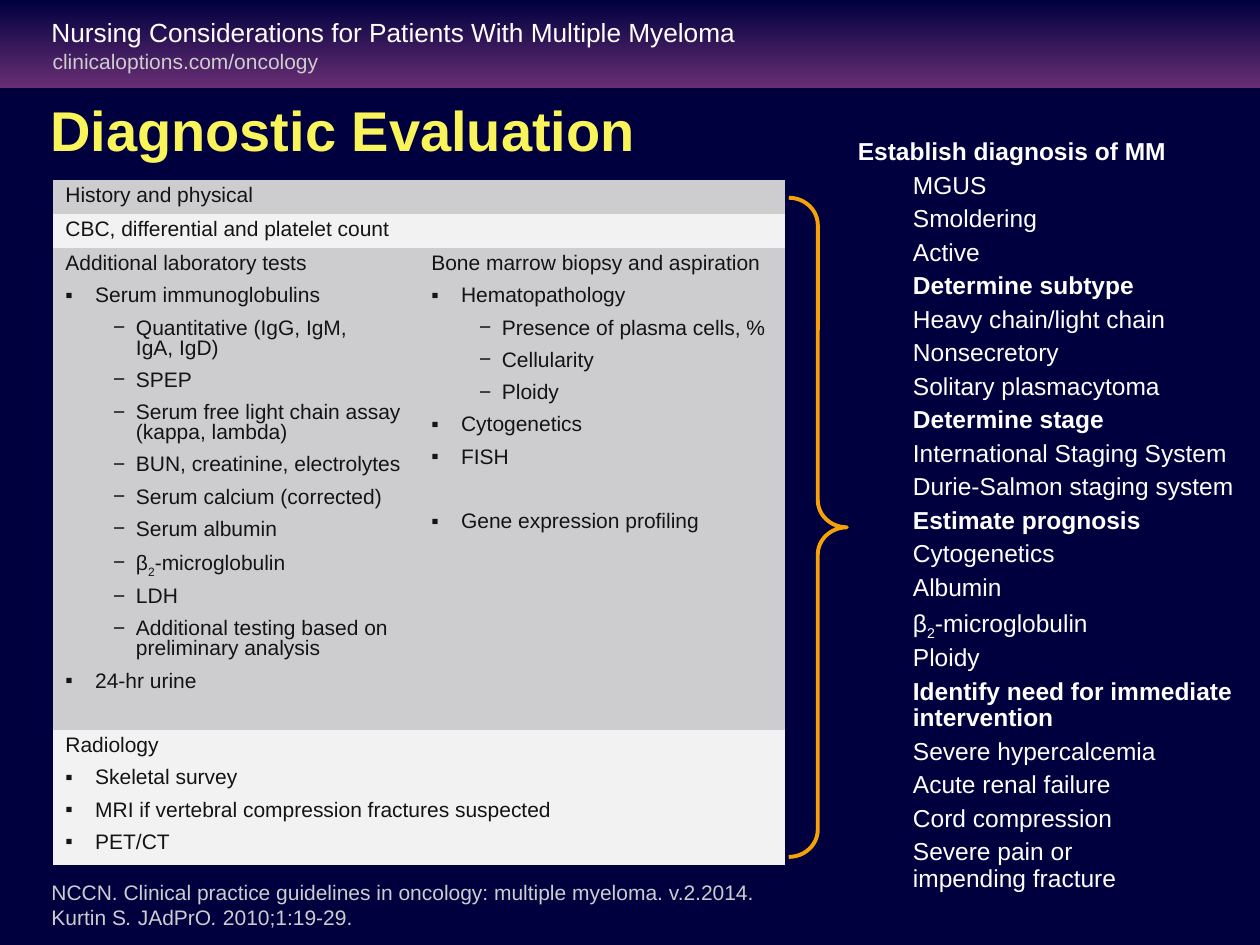
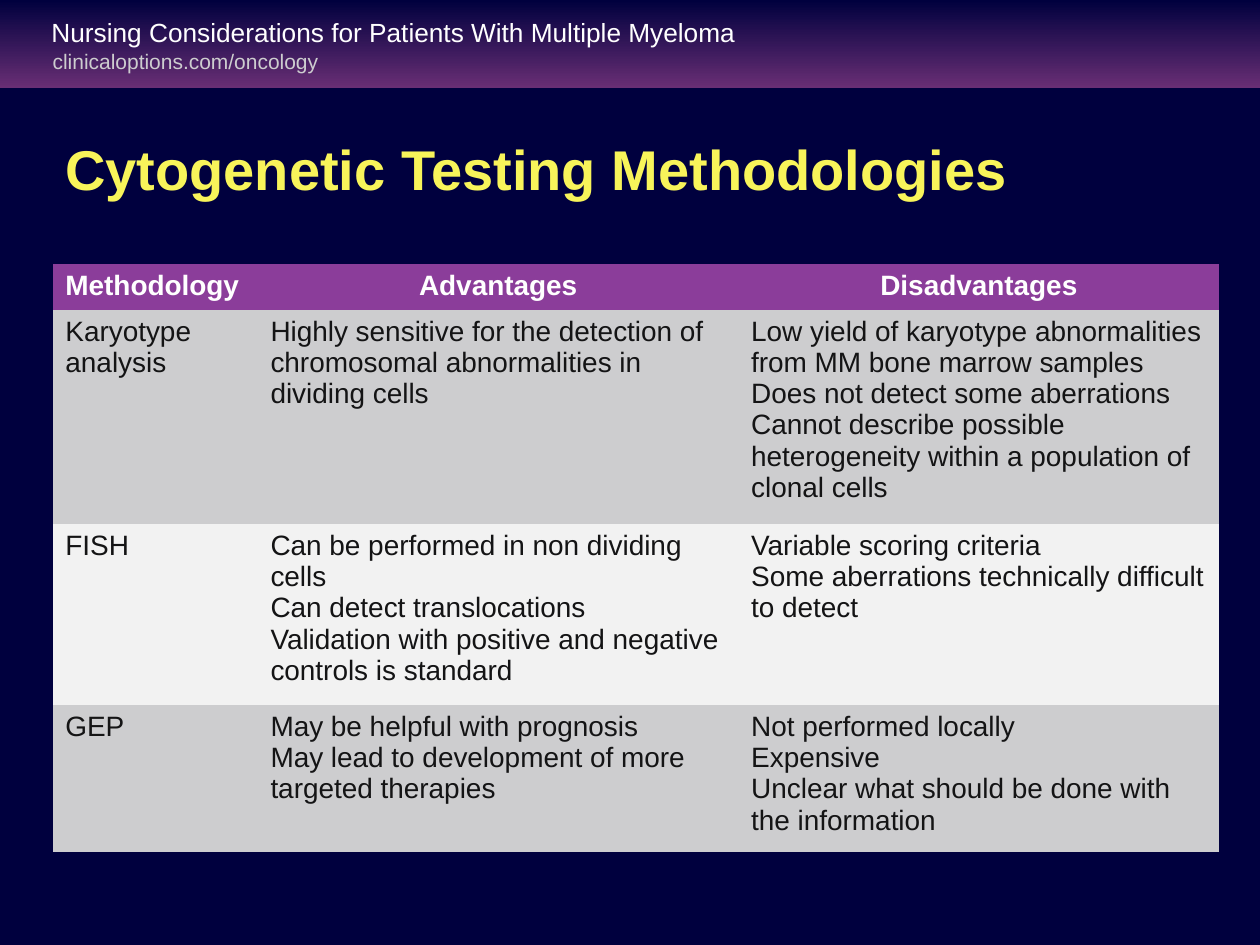
from copy import deepcopy
from dataclasses import dataclass

from lxml import etree
from pptx import Presentation
from pptx import util as u
from pptx.dml import color
from pptx.enum import shapes, text
from pptx.oxml import ns

Pt = u.Pt


@dataclass(frozen=True)
class Box:
    left: float
    top: float
    width: float
    height: float

    def inner(self, left, top, width, height):
        return Box(self.left + left, self.top + top, width, height)

    def lengths(self):
        return [Pt(value) for value in (self.left, self.top, self.width, self.height)]


class Theme:
    font = "Arial"
    night = "00003E"
    plum = "682E74"
    purple = "8B3D9A"
    yellow = "F8F45A"
    orange = "F6A108"
    white = "FFFFFF"
    silver = "CDCDCF"
    pale = "F2F2F2"
    ink = "141415"
    title = {"size": 32, "color": yellow, "bold": True}
    course = {"size": 15, "color": white}
    small = {"size": 12, "color": silver}
    lab = {"size": 12, "color": ink}
    goal = {"size": 14, "color": white}
    goal_head = {**goal, "bold": True}
    method = {"size": 16, "color": ink}
    method_head = {"size": 16, "color": white, "bold": True}


SLIDE = Box(0, 0, 720, 540)
NO_STYLE = "{2D5ABB26-0587-4C30-8999-92F81FD0307C}"
SUBSCRIPT = {"baseline": "-25000"}
ITALIC = {"i": "1"}
BULLETS = {"square": ("▪", 17, 17), "dash": ("−", 40.3, 13)}

TEST_ROWS = [
    (19.4, [[("plain", ["History and physical"])]]),
    (19.4, [[("plain", ["CBC, differential and platelet count"])]]),
    (275.4, [
        [
            ("plain", ["Additional laboratory tests"]),
            ("square", ["Serum immunoglobulins"]),
            ("dash", [
                "Quantitative (IgG, IgM,\nIgA, IgD)",
                "SPEP",
                "Serum free light chain assay (kappa, lambda)",
                "BUN, creatinine, electrolytes",
                "Serum calcium (corrected)",
                "Serum albumin",
                "β_2_-microglobulin",
                "LDH",
                "Additional testing based on preliminary analysis",
            ]),
            ("square", ["24-hr urine"]),
        ],
        [
            ("plain", ["Bone marrow biopsy and aspiration"]),
            ("square", ["Hematopathology"]),
            ("dash", ["Presence of plasma cells, %", "Cellularity", "Ploidy"]),
            ("square", ["Cytogenetics", "FISH", "Gene expression profiling"]),
        ],
    ]),
    (77.1, [[
        ("plain", ["Radiology"]),
        ("square", [
            "Skeletal survey",
            "MRI if vertebral compression fractures suspected",
            "PET/CT",
        ]),
    ]]),
]
EXTRA_GAPS = {"Gene expression profiling": 18.5}

GOALS = {
    "Establish diagnosis of MM": ["MGUS", "Smoldering", "Active"],
    "Determine subtype": [
        "Heavy chain/light chain", "Nonsecretory", "Solitary plasmacytoma"],
    "Determine stage": ["International Staging System", "Durie-Salmon staging system"],
    "Estimate prognosis": ["Cytogenetics", "Albumin", "β_2_-microglobulin", "Ploidy"],
    "Identify need for immediate intervention": [
        "Severe hypercalcemia", "Acute renal failure", "Cord compression",
        "Severe pain or\nimpending fracture"],
}

METHOD_HEADS = ["Methodology", "Advantages", "Disadvantages"]
METHOD_ROWS = [
    (122.3, [
        ["Karyotype analysis"],
        ["Highly sensitive for the detection of chromosomal abnormalities in dividing cells"],
        ["Low yield of karyotype abnormalities from MM bone marrow samples",
         "Does not detect some aberrations",
         "Cannot describe possible heterogeneity within a population of clonal cells"],
    ]),
    (103.4, [
        ["FISH"],
        ["Can be performed in non dividing cells",
         "Can detect translocations",
         "Validation with positive and negative controls is standard"],
        ["Variable scoring criteria",
         "Some aberrations technically difficult to detect"],
    ]),
    (84, [
        ["GEP"],
        ["May be helpful with prognosis",
         "May lead to development of more targeted therapies"],
        ["Not performed locally",
         "Expensive",
         "Unclear what should be done with the information"],
    ]),
]


def rgb(value):
    return color.RGBColor.from_string(value)


def set_values(target, values):
    for name, value in values.items():
        setattr(target, name, value)


def fill_solid(target, value):
    target.fill.solid()
    target.fill.fore_color.rgb = rgb(value)


def write(paragraph, words, style, layout=None, marked=SUBSCRIPT):
    set_values(paragraph, layout or {})
    for index, part in enumerate(words.split("_")):
        for line_index, line in enumerate(part.split("\n")):
            if line_index:
                paragraph.add_line_break()
                paragraph._p[-1].append(deepcopy(run._r.rPr))
            run = paragraph.add_run()
            run.text = line
            set_values(run.font, {
                "name": Theme.font,
                "size": Pt(style["size"]),
                "bold": style.get("bold", False),
            })
            run.font.color.rgb = rgb(style["color"])
            if index % 2:
                for name, value in marked.items():
                    run._r.rPr.set(name, value)


def next_paragraph(frame):
    first = frame.paragraphs[0]
    return frame.add_paragraph() if first.runs else first


def indent(paragraph, left, hanging=0):
    properties = paragraph._p.get_or_add_pPr()
    properties.set("marL", str(int(Pt(left))))
    properties.set("indent", str(-int(Pt(hanging))))
    return properties


def add_bullet(paragraph, kind):
    mark, left, hanging = BULLETS[kind]
    properties = indent(paragraph, left, hanging)
    bullet_color = etree.SubElement(properties, ns.qn("a:buClr"))
    etree.SubElement(bullet_color, ns.qn("a:srgbClr"), val=Theme.ink)
    etree.SubElement(properties, ns.qn("a:buFont"), typeface=Theme.font)
    etree.SubElement(properties, ns.qn("a:buChar"), char=mark)


def add_text_frame(slide, box, anchor=text.MSO_ANCHOR.TOP):
    frame = slide.shapes.add_textbox(*box.lengths()).text_frame
    set_values(frame, {"word_wrap": True, "vertical_anchor": anchor})
    return frame


def add_plain_table(slide, box, widths, heights):
    table = slide.shapes.add_table(len(heights), len(widths), *box.lengths()).table
    table._tbl.tblPr.find(ns.qn("a:tableStyleId")).text = NO_STYLE
    set_values(table, {"first_row": False, "horz_banding": False})
    for column, width in zip(table.columns, widths):
        column.width = Pt(width)
    for row, height in zip(table.rows, heights):
        row.height = Pt(height)
    return table


def band_color(index):
    return (Theme.silver, Theme.pale)[index % 2]


def draw_header(slide, box):
    band = slide.shapes.add_shape(shapes.MSO_SHAPE.RECTANGLE, *box.lengths())
    band.shadow.inherit = False
    band.line.fill.background()
    band.fill.gradient()
    band.fill.gradient_angle = 90
    for stop, value in zip(band.fill.gradient_stops, (Theme.plum, Theme.night)):
        stop.color.rgb = rgb(value)
    address = add_text_frame(slide, box.inner(23, 24.5, 180, 21.6))
    write(address.paragraphs[0], "clinicaloptions.com/oncology", Theme.small)
    course = add_text_frame(slide, box.inner(22.3, 5.8, 564, 25))
    write(course.paragraphs[0],
          "Nursing Considerations for Patients With Multiple Myeloma", Theme.course)


def draw_title(slide, box, words):
    frame = add_text_frame(slide, box, text.MSO_ANCHOR.MIDDLE)
    write(frame.paragraphs[0], words, Theme.title)


def draw_tests(slide, box):
    heights = [height for height, cells in TEST_ROWS]
    table = add_plain_table(slide, box, [box.width / 2] * 2, heights)
    for row, (height, cells) in enumerate(TEST_ROWS):
        if len(cells) == 1:
            table.cell(row, 0).merge(table.cell(row, 1))
        for column, groups in enumerate(cells):
            cell = table.cell(row, column)
            fill_solid(cell, band_color(row))
            for kind, items in groups:
                for item in items:
                    paragraph = next_paragraph(cell.text_frame)
                    if kind in BULLETS:
                        add_bullet(paragraph, kind)
                    gap = 0 if kind == "plain" else 7 + EXTRA_GAPS.get(item, 0)
                    write(paragraph, item, Theme.lab,
                          {"line_spacing": 0.85, "space_before": Pt(gap)})


def draw_brace(slide, box):
    brace = slide.shapes.add_shape(shapes.MSO_SHAPE.RIGHT_BRACE, *box.lengths())
    brace.shadow.inherit = False
    brace.adjustments[0] = 0.47
    brace.fill.background()
    brace.line.color.rgb = rgb(Theme.orange)
    brace.line.width = Pt(2.25)


def draw_goals(slide, box):
    frame = add_text_frame(slide, box)
    for heading, items in GOALS.items():
        for words in [heading, *items]:
            paragraph = next_paragraph(frame)
            first = paragraph._p is frame.paragraphs[0]._p
            if not first:
                indent(paragraph, 31.5)
            style = Theme.goal_head if words == heading else Theme.goal
            write(paragraph, words, style,
                  {"line_spacing": 0.9, "space_before": Pt(0 if first else 4)})


def draw_references(slide, box):
    frame = add_text_frame(slide, box)
    write(frame.paragraphs[0],
          "NCCN. Clinical practice guidelines in oncology: multiple myeloma. v.2.2014. "
          "Kurtin S_. _JAdPrO_. _2010;1:19-29.", Theme.small, marked=ITALIC)


def draw_methods(slide, box):
    widths = [117.2, 274.7, 274.7]
    heights = [26.3] + [height for height, cells in METHOD_ROWS]
    table = add_plain_table(slide, box, widths, heights)
    for column, heading in enumerate(METHOD_HEADS):
        cell = table.cell(0, column)
        fill_solid(cell, Theme.purple)
        alignment = text.PP_ALIGN.CENTER if column else text.PP_ALIGN.LEFT
        write(cell.text_frame.paragraphs[0], heading, Theme.method_head,
              {"alignment": alignment})
    for row, (height, cells) in enumerate(METHOD_ROWS):
        for column, items in enumerate(cells):
            cell = table.cell(row + 1, column)
            fill_solid(cell, band_color(row))
            for item in items:
                write(next_paragraph(cell.text_frame), item, Theme.method)


def start_slide(presentation, title, title_box):
    slide = presentation.slides.add_slide(presentation.slide_layouts[6])
    fill_solid(slide.background, Theme.night)
    draw_header(slide, SLIDE.inner(0, 0, SLIDE.width, 50.3))
    draw_title(slide, title_box, title)
    return slide


def build_evaluation(presentation, box):
    slide = start_slide(presentation, "Diagnostic Evaluation",
                        box.inner(21.6, 23, 666.6, 101.5))
    draw_brace(slide, box.inner(450.7, 113, 33.2, 376.7))
    draw_references(slide, box.inner(22.3, 499, 416.2, 36))
    draw_tests(slide, box.inner(30.2, 103, 418.2, 391.3))
    draw_goals(slide, box.inner(483.1, 76.3, 234.7, 437.8))


def build_methodologies(presentation, box):
    slide = start_slide(presentation, "Cytogenetic Testing Methodologies",
                        box.inner(30.2, 52.6, 666.6, 87.1))
    draw_methods(slide, box.inner(30.2, 150.8, 666.6, 336))


def main():
    presentation = Presentation()
    set_values(presentation, {
        "slide_width": Pt(SLIDE.width), "slide_height": Pt(SLIDE.height)})
    build_evaluation(presentation, SLIDE)
    build_methodologies(presentation, SLIDE)
    presentation.save("out.pptx")


if __name__ == "__main__":
    main()
